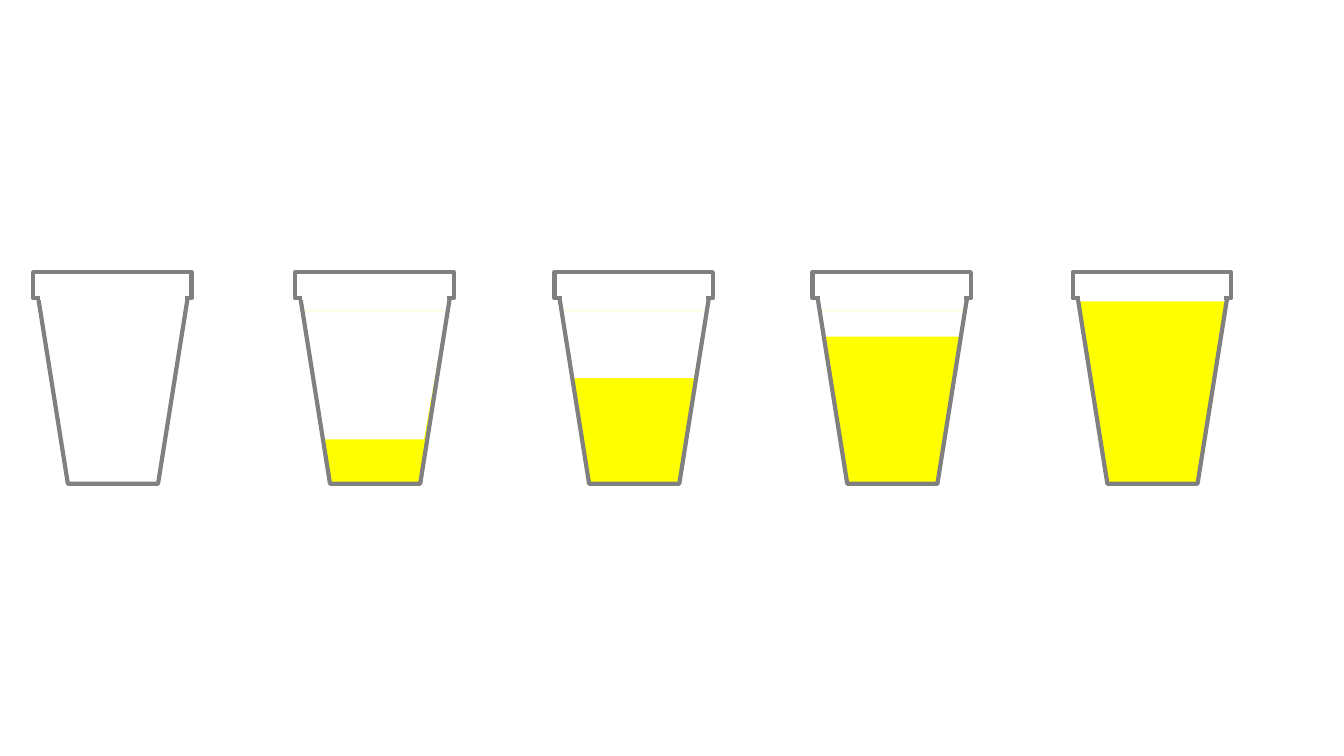
from lxml import etree
from pptx import Presentation
from pptx.dml.color import RGBColor
from pptx.enum.shapes import MSO_CONNECTOR, MSO_SHAPE
from pptx.oxml.ns import qn
from pptx.util import Inches, Pt

TRAPEZOID = MSO_SHAPE.TRAPEZOID
BODY = MSO_SHAPE.FLOWCHART_MANUAL_OPERATION
RECT = MSO_SHAPE.RECTANGLE
STRAIGHT = MSO_CONNECTOR.STRAIGHT

WHITE = RGBColor(0xFF, 0xFF, 0xFF)
YELLOW = RGBColor(0xFF, 0xFF, 0x00)
GREY = RGBColor(0x80, 0x80, 0x80)

COLS, ROWS = 133.3, 75
RIM_TOP, BODY_TOP, SEAM = 27, 29.3, 29.6
INNER_TOP, BOTTOM = 30.8, 48

CUPS = [
    {"left": 3.3},
    {"left": 29.3, "top": INNER_TOP, "empty": 12.8},
    {"left": 55, "top": INNER_TOP, "empty": 6.7},
    {"left": 80.6, "top": INNER_TOP, "empty": 2.6},
    {"left": 106.4, "top": 29.9},
]


class CupSlide:
    line_format = {"width": Pt(3)}
    liquid_format = {"rotation": 180}

    def __init__(self, prs):
        self.s = prs.slides.add_slide(prs.slide_layouts[6])
        self.col = prs.slide_width / COLS
        self.row = prs.slide_height / ROWS

    def place(self, x, y, w, h):
        return [round(v * unit) for v, unit in
                zip((x, y, w, h), (self.col, self.row) * 2)]

    def stroke(self, line, color):
        line.fill.solid()
        line.fill.fore_color.rgb = color
        for name, value in self.line_format.items():
            setattr(line, name, value)

    def shape(self, grp, kind, box, fill=None, line=None):
        sp = grp.shapes.add_shape(kind, *self.place(*box))
        sp.shadow.inherit = False
        if fill is None:
            sp.fill.background()
        else:
            sp.fill.solid()
            sp.fill.fore_color.rgb = fill
        if line is None:
            sp.line.fill.background()
        else:
            self.stroke(sp.line, line)
        return sp

    def trapezoid(self, grp, box, fill, slant):
        sp = self.shape(grp, TRAPEZOID, box, fill)
        sp.adjustments[0] = slant
        for name, value in self.liquid_format.items():
            setattr(sp, name, value)

    def seam(self, grp, start, end):
        x1, y1, x2, y2 = self.place(start, SEAM, end, SEAM)
        cxn = grp.shapes.add_connector(STRAIGHT, x1, y1, x2, y2)
        self.stroke(cxn.line, WHITE)
        etree.SubElement(cxn._element.spPr, qn("a:effectLst"))

    def cup(self, left, top=None, empty=None):
        grp = self.s.shapes.add_group_shape()
        if top:
            self.trapezoid(grp, (left + 0.55, top, 14.6, BOTTOM - top), YELLOW, 0.192)
        if empty:
            self.trapezoid(grp, (left + 0.5, top, 14.5, empty), WHITE, 0.176)
        self.shape(grp, BODY, (left + 0.45, BODY_TOP, 14.9, 18.7), line=GREY)
        self.shape(grp, RECT, (left, RIM_TOP, 15.7, 2.6), WHITE, GREY)
        self.seam(grp, left + 0.7, left + 15)


def main():
    prs = Presentation()
    prs.slide_width, prs.slide_height = Inches(13.33), Inches(7.5)
    slide = CupSlide(prs)
    for cup in CUPS:
        slide.cup(**cup)
    prs.save("out.pptx")


if __name__ == "__main__":
    main()
